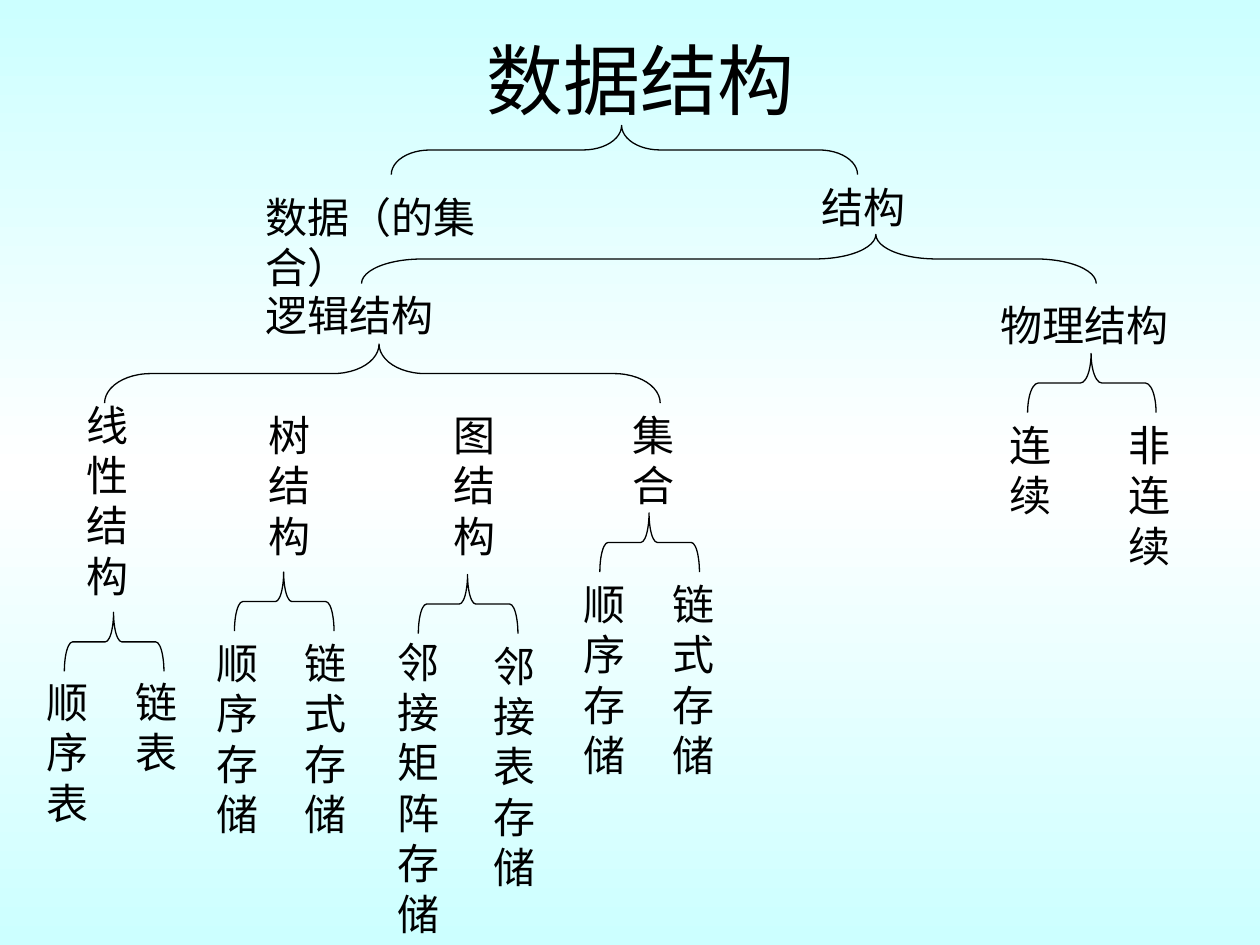
import copy

import pptx
import pptx.dml.color
import pptx.enum.shapes
import pptx.enum.text
import pptx.util

Pt = pptx.util.Pt
RGBColor = pptx.dml.color.RGBColor
MSO_ANCHOR = pptx.enum.text.MSO_ANCHOR
PP_ALIGN = pptx.enum.text.PP_ALIGN

BLACK = RGBColor(0x00, 0x00, 0x00)
WHITE = RGBColor(0xFF, 0xFF, 0xFF)
PALE_CYAN = RGBColor(0xCC, 0xFF, 0xFF)
FONT = "Times New Roman"
LINE_HEIGHT = 28.8
INSETS = 7.2
COLUMN_WIDTH = 39.6

# text, left, top, width
ROW_LABELS = [
    ("数据（的集合）", 144.7, 105.8, 181.4),
    ("结构", 462.2, 100.1, 67.7),
    ("物理结构", 564.5, 167.8, 124.6),
    ("逻辑结构", 144.7, 162, 124.6),
]

# text, left, top; one character to a line
COLUMN_LABELS = [
    ("线性结构", 42.5, 224.6),
    ("树结构", 146.2, 230.4),
    ("图结构", 252, 230.4),
    ("集合", 354.2, 230.4),
    ("连续", 569.5, 236.2),
    ("非连续", 637.9, 236.2),
    ("顺序表", 19.4, 383),
    ("链表", 70.6, 383),
    ("顺序存储", 116.6, 360.7),
    ("链式存储", 167, 360.7),
    ("邻接矩阵存储", 220.3, 360),
    ("邻接表存储", 275, 362.2),
    ("顺序存储", 326.2, 326.9),
    ("链式存储", 377.3, 326.9),
]

# center x, center y, span, depth, curve, tip position from the right
BRANCH_BRACES = [
    (356.8, 85.7, 266.4, 28.1, 0.783, 0.506),
    (416.5, 148, 419.8, 28.1, 1.232, 0.3),
    (218.5, 213.5, 317.5, 33.8, 0.778, 0.506),
    (623.9, 218.9, 73.4, 33.8, 0.181, 0.506),
]

# center x, center y
STORAGE_BRACES = [(65.2, 366.8), (162.4, 343.8), (267.5, 345.2), (371.2, 310)]


def set_background(slide):
    fill = slide.background.fill
    fill.gradient()
    fill.gradient_angle = 270
    last_stop = slide.element.findall(".//" + pptx.oxml.ns.qn("a:gs"))[-1]
    last_stop.addnext(copy.deepcopy(last_stop))
    stops = zip(fill.gradient_stops, (0, 0.5, 1), (PALE_CYAN, WHITE, PALE_CYAN))
    for stop, position, color in stops:
        stop.position = position
        stop.color.rgb = color


def add_text(slide, text, left, top, width, height, *, size=24,
             align=PP_ALIGN.LEFT, anchor=MSO_ANCHOR.TOP):
    box = slide.shapes.add_textbox(Pt(left), Pt(top), Pt(width), Pt(height))
    frame = box.text_frame
    frame.word_wrap = True
    frame.vertical_anchor = anchor
    paragraph = frame.paragraphs[0]
    paragraph.alignment = align
    run = paragraph.add_run()
    run.text = text
    run.font.name = FONT
    run.font.size = Pt(size)
    run.font.color.rgb = BLACK


def add_brace(slide, center_x, center_y, span, depth, curve, tip):
    """Add a brace that points up and opens downwards."""
    brace = slide.shapes.add_shape(
        pptx.enum.shapes.MSO_SHAPE.LEFT_BRACE,
        Pt(center_x - depth / 2), Pt(center_y - span / 2), Pt(depth), Pt(span))
    brace.rotation = 90
    brace.adjustments[0] = curve
    brace.adjustments[1] = tip
    brace.shadow.inherit = False
    brace.fill.background()
    brace.line.color.rgb = BLACK
    brace.line.width = Pt(0.75)


def main():
    presentation = pptx.Presentation()
    presentation.slide_width = Pt(720)
    presentation.slide_height = Pt(540)
    slide = presentation.slides.add_slide(presentation.slide_layouts[6])
    set_background(slide)

    add_text(slide, "数据结构", 60, 0, 612, 90, size=44,
             align=PP_ALIGN.CENTER, anchor=MSO_ANCHOR.MIDDLE)
    for text, left, top, width in ROW_LABELS:
        add_text(slide, text, left, top, width, LINE_HEIGHT + INSETS)
    for text, left, top in COLUMN_LABELS:
        add_text(slide, text, left, top, COLUMN_WIDTH,
                 len(text) * LINE_HEIGHT + INSETS)

    for brace in BRANCH_BRACES:
        add_brace(slide, *brace)
    for center_x, center_y in STORAGE_BRACES:
        add_brace(slide, center_x, center_y, 56.9, 33.8, 0.139, 0.506)

    presentation.save("out.pptx")


if __name__ == "__main__":
    main()
